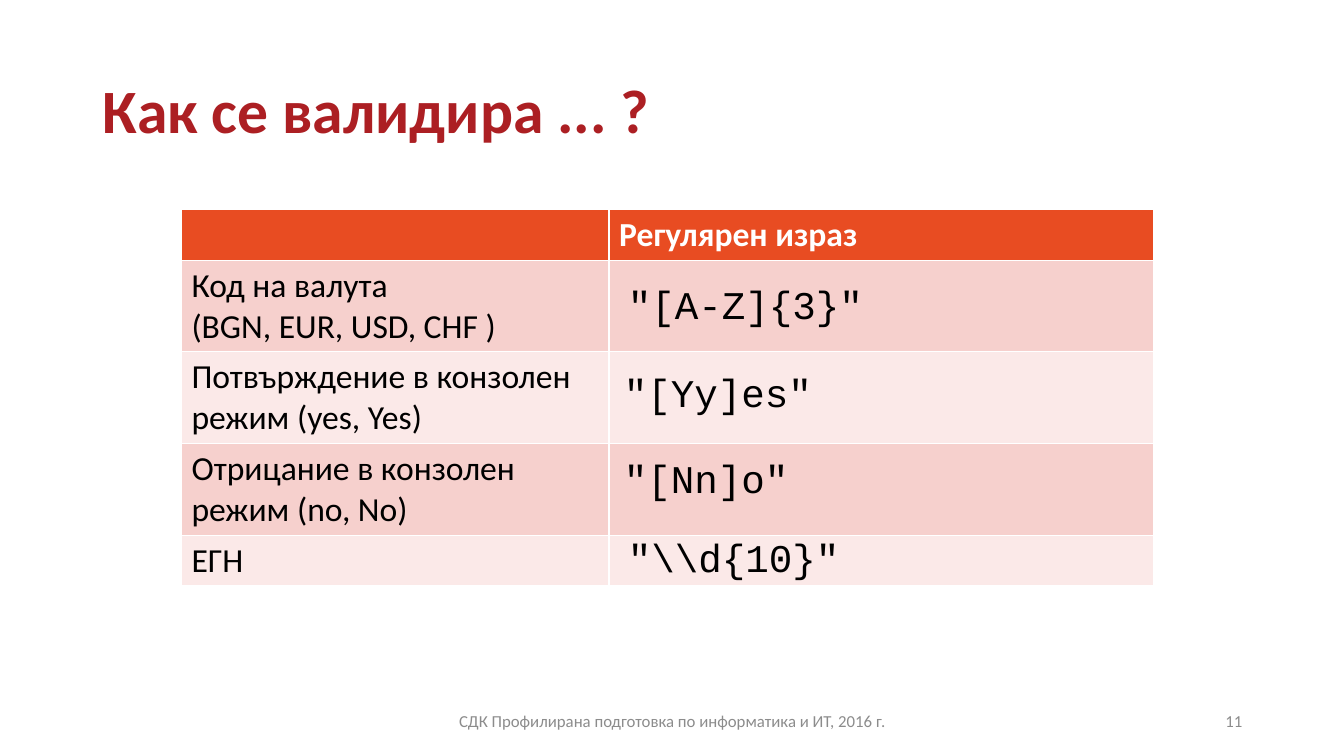
from dataclasses import dataclass

from pptx import Presentation
from pptx import util as u
from pptx.dml.color import RGBColor
from pptx.enum import text

PX = 9144


@dataclass(frozen=True)
class Theme:
    sans: str = "Calibri"
    mono: str = "Courier New"
    title: str = "AC1F23"
    footer: str = "8C8C8C"
    header: str = "E84C22"
    bands: tuple = ("F6D0CD", "FBE9E8")
    light: str = "FFFFFF"
    dark: str = "000000"
    title_size: int = 44
    code_size: int = 28
    table_size: int = 24
    footer_size: int = 12


T = Theme()

CASES = [
    "Код на валута\n(BGN, EUR, USD, CHF )",
    "Потвърждение в конзолен режим (yes, Yes)",
    "Отрицание в конзолен режим (no, No)",
    "ЕГН",
]
PATTERNS = [
    ('"[A-Z]{3}"', 613, 273, 338),
    ('"[Yy]es"', 609, 360, 208),
    ('"[Nn]o"', 609, 446, 208),
    (r'"\\d{10}"', 613, 524, 241),
]


def px(*lengths):
    return [u.Emu(n * PX) for n in lengths]


def write(tf, words, size, color, name=T.sans, bold=False, align=None):
    tf.text = words
    for p in tf.paragraphs:
        p.alignment = align
        p.font.size = u.Pt(size)
        p.font.name = name
        p.font.bold = bold
        p.font.color.rgb = RGBColor.from_string(color)


def add_text(s, box, words, size, color, anchor=text.MSO_ANCHOR.MIDDLE, **style):
    tf = s.shapes.add_textbox(*px(*box)).text_frame
    tf.word_wrap = True
    tf.vertical_anchor = anchor
    write(tf, words, size, color, **style)
    return tf


def add_pattern(s, words, left, top, width):
    add_text(s, (left, top, width, 57), words, T.code_size, T.dark,
             anchor=text.MSO_ANCHOR.TOP, name=T.mono)


def fill_cell(cell, color):
    cell.fill.solid()
    cell.fill.fore_color.rgb = RGBColor.from_string(color)


def add_cases(s):
    heights = [50, 91, 91, 91, 50]
    box = px(180, 208, 964, sum(heights))
    table = s.shapes.add_table(len(heights), 2, *box).table
    for column, width in zip(table.columns, px(424, 540)):
        column.width = width
    for i, (row, height) in enumerate(zip(table.rows, px(*heights))):
        row.height = height
        for cell in row.cells:
            fill_cell(cell, T.bands[(i - 1) % 2] if i else T.header)
    write(table.cell(0, 1).text_frame, "Регулярен израз",
          T.table_size, T.light, bold=True)
    for i, case in enumerate(CASES, 1):
        write(table.cell(i, 0).text_frame, case, T.table_size, T.dark)


def main():
    prs = Presentation()
    prs.slide_width, prs.slide_height = px(1333, 750)
    s = prs.slides.add_slide(prs.slide_layouts[6])

    tf = add_text(s, (92, 40, 1150, 145), "Как се валидира ... ?",
                  T.title_size, T.title, bold=True)
    tf.paragraphs[0].line_spacing = 0.9
    add_text(s, (442, 695, 450, 40),
             "СДК Профилирана подготовка по информатика и ИТ, 2016 г.",
             T.footer_size, T.footer, align=text.PP_ALIGN.CENTER)
    add_text(s, (942, 695, 300, 40), "11", T.footer_size, T.footer,
             align=text.PP_ALIGN.RIGHT)
    add_cases(s)
    for pattern in PATTERNS:
        add_pattern(s, *pattern)

    prs.save("out.pptx")


if __name__ == "__main__":
    main()
